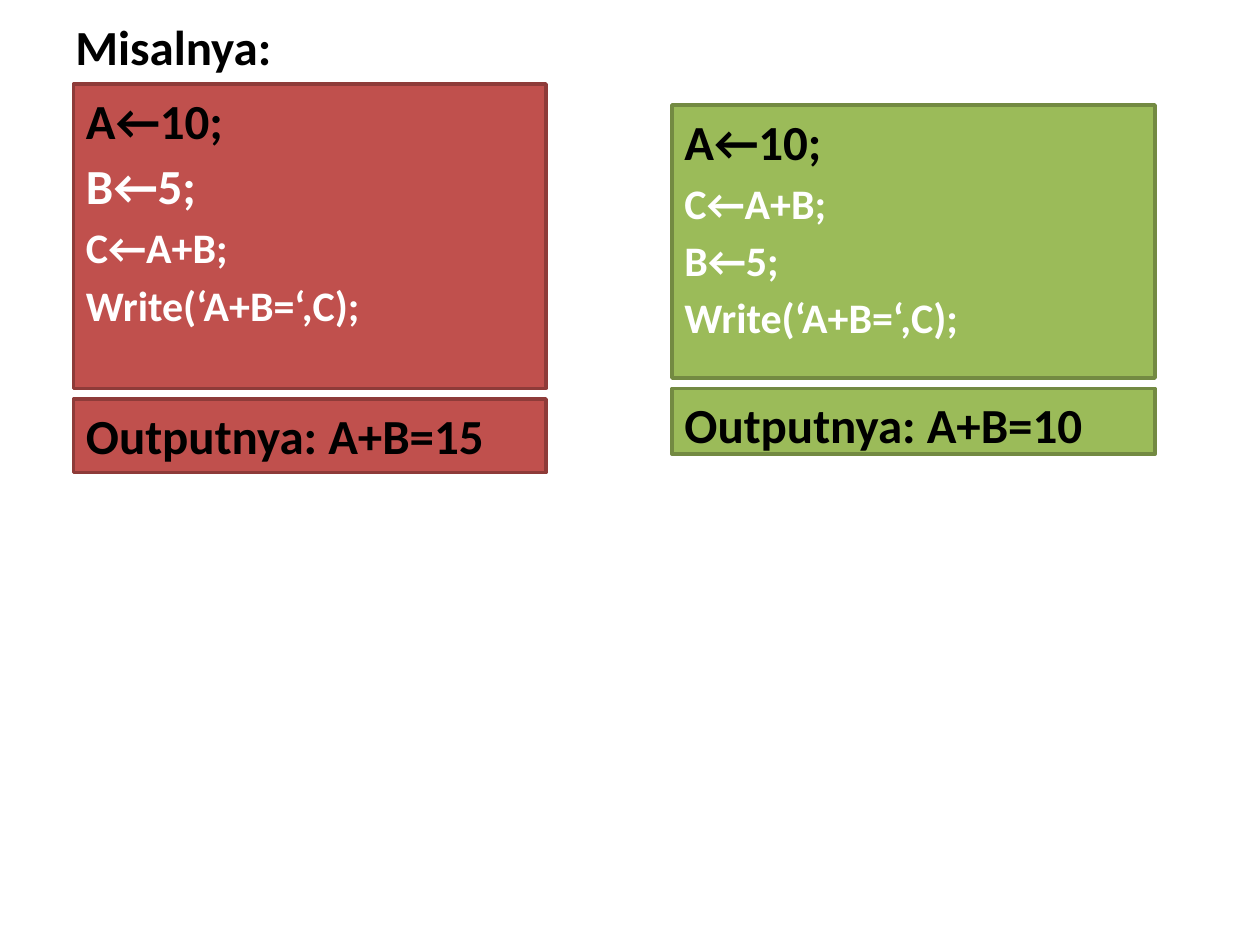
from pptx import Presentation
from pptx.dml.color import RGBColor
from pptx.enum.shapes import MSO_SHAPE
from pptx.enum.text import MSO_ANCHOR, PP_ALIGN
from pptx.util import Inches, Pt

# The slide is a grid of 120 columns by 90 rows.
COLS, ROWS = 120, 90
WIDTH, HEIGHT = Inches(10), Inches(7.5)
BLACK, WHITE = "000000", "FFFFFF"
LARGE, SMALL = 28, 24


def rgb(value):
    return RGBColor.from_string(value)


def grid(col, row, cols, rows):
    """Turn grid columns and rows into left, top, width and height."""
    return (round(WIDTH * col / COLS), round(HEIGHT * row / ROWS),
            round(WIDTH * cols / COLS), round(HEIGHT * rows / ROWS))


def add_text(p, text, size=LARGE, color=BLACK, bold=True, font="Calibri",
             hanging=Inches(0.51)):
    p.alignment = PP_ALIGN.JUSTIFY
    p.space_before = Pt(4)
    pPr = p._p.get_or_add_pPr()
    pPr.set("marL", str(hanging))
    pPr.set("indent", str(-hanging))
    r = p.add_run()
    r.text = text
    r.font.name = font
    r.font.size = Pt(size)
    r.font.bold = bold
    r.font.color.rgb = rgb(color)


def fill_frame(tf, lines):
    tf.word_wrap = True
    tf.vertical_anchor = MSO_ANCHOR.TOP
    for i, (text, style) in enumerate(lines):
        p = tf.add_paragraph() if i else tf.paragraphs[0]
        add_text(p, text, **style)


def add_heading(slide, box, text):
    fill_frame(slide.shapes.add_textbox(*grid(*box)).text_frame, [(text, {})])


def add_panel(slide, box, lines, fill, line):
    sp = slide.shapes.add_shape(MSO_SHAPE.RECTANGLE, *grid(*box))
    sp.shadow.inherit = False
    sp.fill.solid()
    sp.fill.fore_color.rgb = rgb(fill)
    sp.line.color.rgb = rgb(line)
    sp.line.width = Pt(2)
    fill_frame(sp.text_frame, lines)


def add_example(slide, box, code, output, code_rows, **colors):
    """Stack a code panel and its output panel, one row apart, in the box."""
    col, row, cols, rows = box
    add_panel(slide, (col, row, cols, code_rows), code, **colors)
    used = code_rows + 1
    add_panel(slide, (col, row + used, cols, rows - used),
              [(output, {})], **colors)


def main():
    prs = Presentation()
    prs.slide_width, prs.slide_height = WIDTH, HEIGHT
    s = prs.slides.add_slide(prs.slide_layouts[6])

    first = ("A←10;", {})
    small = {"size": SMALL, "color": WHITE}
    total = ("C←A+B;", small)
    write = ("Write(‘A+B=‘,C);", small)

    add_heading(s, (6, 1, 100, 7), "Misalnya:")
    add_example(s, (7, 8, 45, 37),
                [first, ("B←5;", {"color": WHITE}), total, write],
                "Outputnya: A+B=15", code_rows=29,
                fill="C0504D", line="8E3B39")
    add_example(s, (64, 10, 46, 33.25),
                [first, total, ("B←5;", small), write],
                "Outputnya: A+B=10", code_rows=26,
                fill="9BBB59", line="738A42")
    prs.save("out.pptx")


if __name__ == "__main__":
    main()
